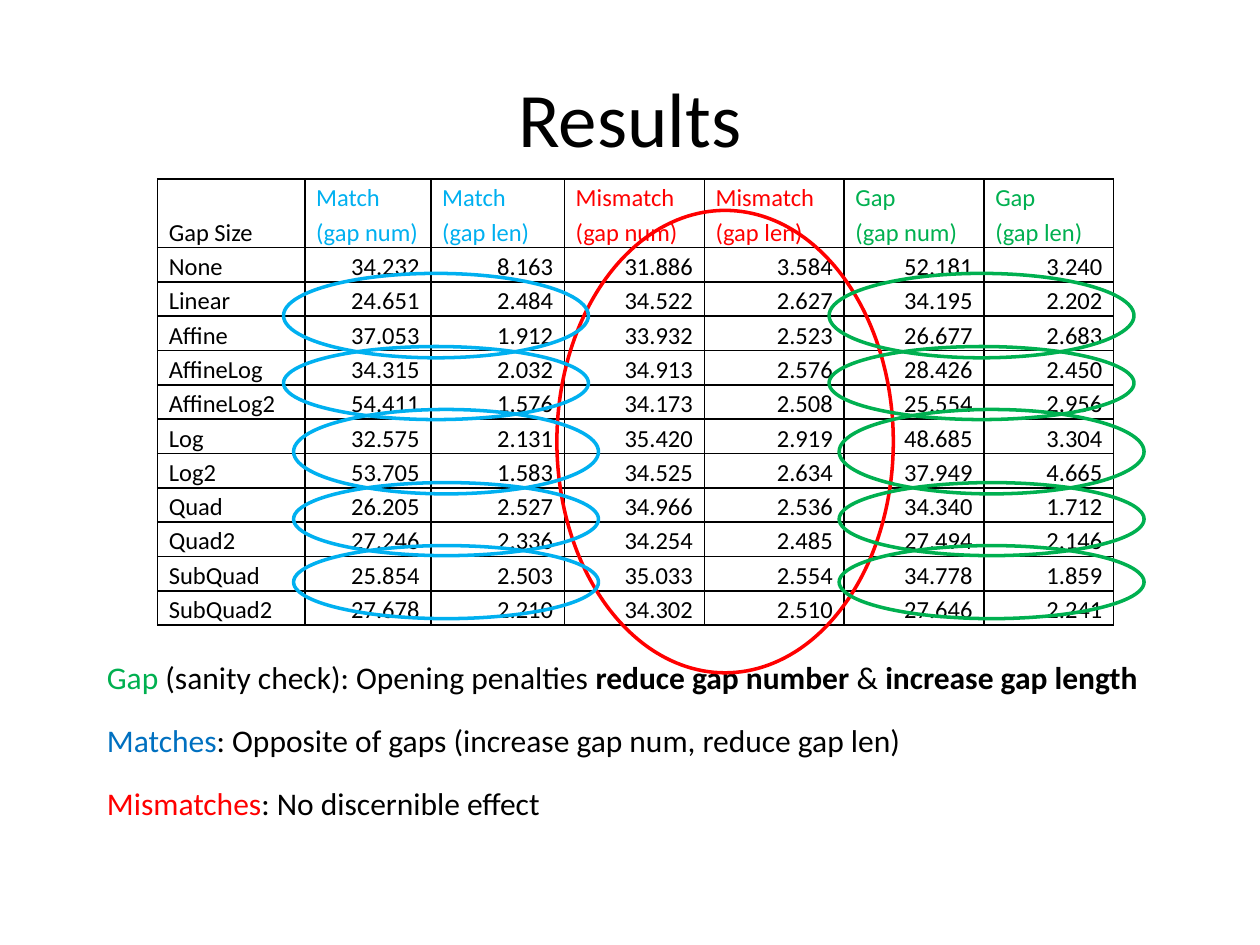
from typing import NamedTuple

from lxml import etree
from pptx import Presentation
from pptx.dml.color import RGBColor
from pptx.enum.shapes import MSO_SHAPE
from pptx.enum.text import MSO_ANCHOR, MSO_AUTO_SIZE, PP_ALIGN
from pptx.oxml.ns import qn
from pptx.util import Inches, Pt

FONT = "Calibri"
BLACK = RGBColor(0x00, 0x00, 0x00)
RED = RGBColor(0xFF, 0x00, 0x00)
GREEN = RGBColor(0x00, 0xB0, 0x50)
SKY = RGBColor(0x00, 0xB0, 0xF0)
BLUE = RGBColor(0x00, 0x70, 0xC0)


class Column(NamedTuple):
    heading: str
    width: float
    color: RGBColor


class Span(NamedTuple):
    text: str
    color: RGBColor = BLACK
    bold: bool = False


class Ring(NamedTuple):
    left: float
    top: float
    width: float
    height: float
    color: RGBColor


COLUMNS = [
    Column("Gap Size", 1.17, BLACK),
    Column("Match (gap num)", 1.0, SKY),
    Column("Match (gap len)", 1.06, SKY),
    Column("Mismatch (gap num)", 1.11, RED),
    Column("Mismatch (gap len)", 1.11, RED),
    Column("Gap\n(gap num)", 1.11, GREEN),
    Column("Gap\n(gap len)", 1.03, GREEN),
]
RESULTS = [
    "None 34.232 8.163 31.886 3.584 52.181 3.240",
    "Linear 24.651 2.484 34.522 2.627 34.195 2.202",
    "Affine 37.053 1.912 33.932 2.523 26.677 2.683",
    "AffineLog 34.315 2.032 34.913 2.576 28.426 2.450",
    "AffineLog2 54.411 1.576 34.173 2.508 25.554 2.956",
    "Log 32.575 2.131 35.420 2.919 48.685 3.304",
    "Log2 53.705 1.583 34.525 2.634 37.949 4.665",
    "Quad 26.205 2.527 34.966 2.536 34.340 1.712",
    "Quad2 27.246 2.336 34.254 2.485 27.494 2.146",
    "SubQuad 25.854 2.503 35.033 2.554 34.778 1.859",
    "SubQuad2 27.678 2.210 34.302 2.510 27.646 2.241",
]
FINDINGS = [
    (8.5, [Span("Gap", GREEN), Span(" (sanity check): Opening penalties "),
           Span("reduce gap number", bold=True), Span(" & "),
           Span("increase gap length", bold=True)]),
    (8.08, [Span("Matches", BLUE),
            Span(": Opposite of gaps (increase gap num, reduce gap len)")]),
    (8.08, [Span("Mismatches", RED), Span(": No discernible effect")]),
]
FINDING_TOP, FINDING_STEP = 5.17, 0.5
HEADER_HEIGHT, ROW_HEIGHT = 0.53, 0.27

# Top, height and sideways shift of the rings around each pair of rows
PAIR_RINGS = [(2.17, 0.67, 0), (2.75, 0.58, 0), (3.25, 0.67, 0.08),
              (3.83, 0.58, 0.08), (4.33, 0.58, 0.08)]
RINGS = [Ring(4.42, 1.67, 2.67, 3.67, RED)] + [
    Ring(left + shift, top, 2.42, height, color)
    for left, color in ((6.58, GREEN), (2.25, SKY))
    for top, height, shift in PAIR_RINGS
]


def style_font(font, size: float, color: RGBColor, bold: bool = False) -> None:
    """Set typeface, size, colour and weight."""
    font.name, font.size, font.bold = FONT, Pt(size), bold
    font.color.rgb = color


def border_cell(cell) -> None:
    """Draw a thin black line on all four sides of a cell."""
    properties = cell._tc.get_or_add_tcPr()
    for index, side in enumerate(("a:lnL", "a:lnR", "a:lnT", "a:lnB")):
        line = etree.Element(qn(side), w=str(Pt(1)))
        fill = etree.SubElement(line, qn("a:solidFill"))
        etree.SubElement(fill, qn("a:srgbClr"), val=str(BLACK))
        properties.insert(index, line)


def fill_cell(cell, text: str, color: RGBColor, align: PP_ALIGN) -> None:
    """Write and format one table cell."""
    cell.text = text
    cell.vertical_anchor = MSO_ANCHOR.BOTTOM
    cell.margin_left = cell.margin_right = Inches(0.09)
    cell.margin_top = cell.margin_bottom = 0
    cell.fill.background()
    border_cell(cell)
    for paragraph in cell.text_frame.paragraphs:
        paragraph.alignment = align
        paragraph.line_spacing = 1.15
        for run in paragraph.runs:
            style_font(run.font, 14, color)


def add_results_table(slide) -> None:
    """Add the table of gap counts and lengths."""
    width = sum(column.width for column in COLUMNS)
    height = HEADER_HEIGHT + ROW_HEIGHT * len(RESULTS)
    table = slide.shapes.add_table(
        len(RESULTS) + 1, len(COLUMNS),
        Inches(1.25), Inches(1.42), Inches(width), Inches(height)).table
    table.first_row = table.horz_banding = False
    for row in table.rows:
        row.height = Inches(ROW_HEIGHT)
    table.rows[0].height = Inches(HEADER_HEIGHT)
    for c, column in enumerate(COLUMNS):
        table.columns[c].width = Inches(column.width)
        fill_cell(table.cell(0, c), column.heading, column.color, PP_ALIGN.LEFT)
    for r, result in enumerate(RESULTS, start=1):
        for c, value in enumerate(result.split()):
            align = PP_ALIGN.RIGHT if c else PP_ALIGN.LEFT
            fill_cell(table.cell(r, c), value, BLACK, align)


def add_finding(slide, top: float, width: float, spans: list[Span]) -> None:
    """Add one line of conclusions below the table."""
    box = slide.shapes.add_textbox(
        Inches(0.75), Inches(top), Inches(width), Inches(0.4))
    frame = box.text_frame
    frame.word_wrap = True
    frame.auto_size = MSO_AUTO_SIZE.SHAPE_TO_FIT_TEXT
    for span in spans:
        run = frame.paragraphs[0].add_run()
        run.text = span.text
        style_font(run.font, 18, span.color, span.bold)


def add_ring(slide, ring: Ring) -> None:
    """Add an unfilled ellipse that marks part of the table."""
    shape = slide.shapes.add_shape(
        MSO_SHAPE.OVAL, Inches(ring.left), Inches(ring.top),
        Inches(ring.width), Inches(ring.height))
    shape.shadow.inherit = False
    shape.fill.background()
    shape.line.color.rgb = ring.color
    shape.line.width = Pt(2)


def add_title(slide, text: str) -> None:
    """Place and format the slide title."""
    title = slide.shapes.title
    title.left, title.top = Inches(0.5), Inches(0.3)
    title.width, title.height = Inches(9), Inches(1.25)
    title.text_frame.text = text
    title.text_frame.vertical_anchor = MSO_ANCHOR.MIDDLE
    paragraph = title.text_frame.paragraphs[0]
    paragraph.alignment = PP_ALIGN.CENTER
    style_font(paragraph.runs[0].font, 44, BLACK)


def main() -> None:
    """Build and save the slide."""
    deck = Presentation()
    deck.slide_width, deck.slide_height = Inches(10), Inches(7.5)
    slide = deck.slides.add_slide(deck.slide_layouts[5])
    add_title(slide, "Results")
    add_results_table(slide)
    for index, (width, spans) in enumerate(FINDINGS):
        add_finding(slide, FINDING_TOP + index * FINDING_STEP, width, spans)
    for ring in RINGS:
        add_ring(slide, ring)
    deck.save("out.pptx")


main()
